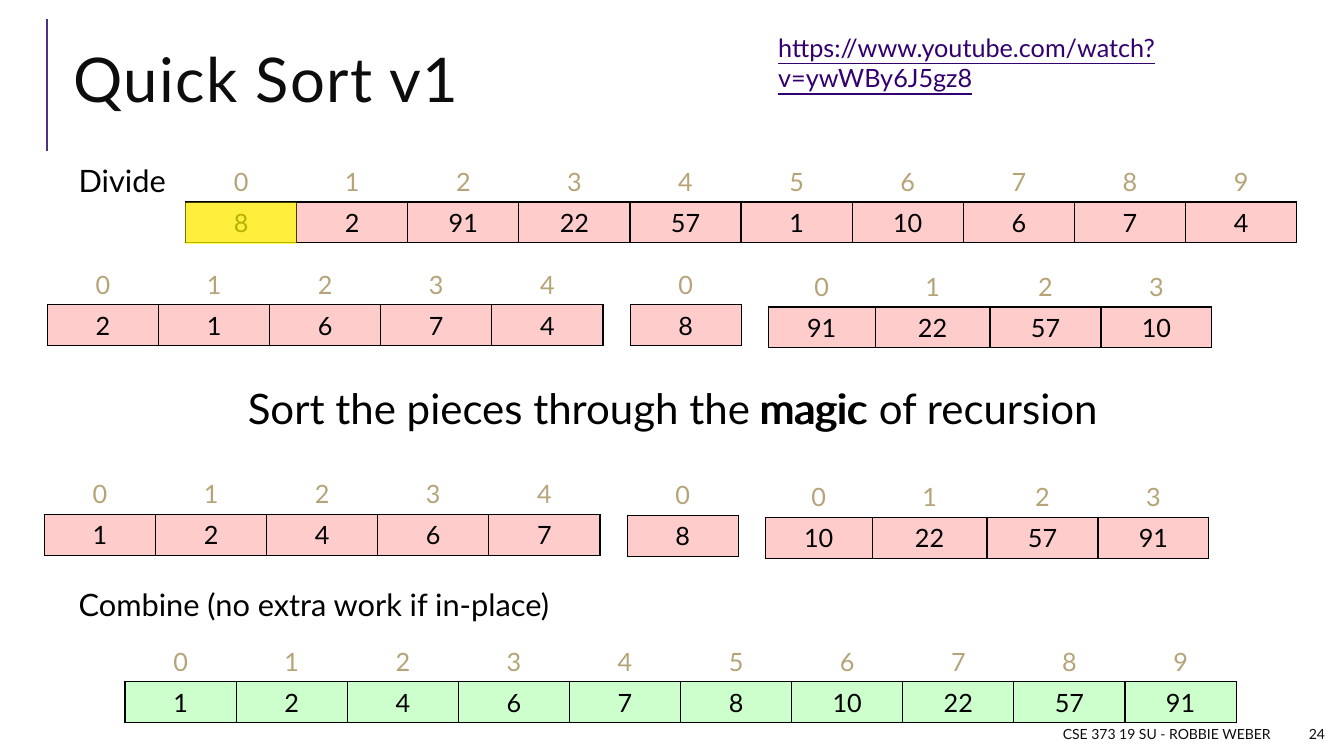
from lxml.etree import SubElement
from pptx import Presentation
from pptx.dml.color import RGBColor
from pptx.enum.shapes import MSO_CONNECTOR, MSO_SHAPE
from pptx.enum.text import MSO_ANCHOR, PP_ALIGN
from pptx.oxml.ns import qn
from pptx.util import Inches, Pt

FONT = "Lato"
BLACK, INK, WHITE = "000000", "0D0D0D", "FFFFFF"
PURPLE, LINK, GOLD = "4C3282", "33006F", "B6A479"
PINK, GREEN, YELLOW = "FFCCCC", "CCFFCC", "FFFF00"
CELL_WIDTH = 1.102
ARRAY_HEIGHT = 0.81
UNEVEN_WIDTHS = [1.06, 1.14, 1.1, 1.1]


def rgb(value):
    return RGBColor.from_string(value)


def style_paragraph(para, size, color, align=PP_ALIGN.LEFT):
    para.alignment = align
    for span in para.runs:
        span.font.name = FONT
        span.font.size = Pt(size)
        span.font.color.rgb = rgb(color)


def add_text(page, left, top, width, height, text, size, color=BLACK,
             align=PP_ALIGN.LEFT, anchor=MSO_ANCHOR.TOP):
    box = page.shapes.add_textbox(Inches(left), Inches(top), Inches(width), Inches(height))
    frame = box.text_frame
    frame.word_wrap = True
    frame.vertical_anchor = anchor
    frame.text = text
    for para in frame.paragraphs:
        style_paragraph(para, size, color, align)
    return frame


def set_borders(cell, colors):
    """Draw one-point borders, given as left, right, top, bottom colours."""
    properties = cell._tc.get_or_add_tcPr()
    for position, (side, color) in enumerate(zip(("lnL", "lnR", "lnT", "lnB"), colors)):
        line = SubElement(properties, qn("a:" + side), w=str(Pt(1)))
        fill = SubElement(line, qn("a:solidFill"))
        SubElement(fill, qn("a:srgbClr"), val=color)
        properties.insert(position, line)


def style_cell(cell, text, color):
    cell.text_frame.text = str(text)
    cell.vertical_anchor = MSO_ANCHOR.MIDDLE
    style_paragraph(cell.text_frame.paragraphs[0], 18, color, PP_ALIGN.CENTER)


def add_array(page, left, top, values, fill=PINK, widths=None):
    """Draw an array as a row of indices above a row of filled value cells."""
    frame = page.shapes.add_table(2, len(values), Inches(left), Inches(top),
                                  Inches(CELL_WIDTH * len(values)), Inches(ARRAY_HEIGHT))
    table = frame.table
    table.first_row = table.horz_banding = False
    for column, width in zip(table.columns, widths or []):
        column.width = Inches(width)
    for index, value in enumerate(values):
        label, slot = table.cell(0, index), table.cell(1, index)
        style_cell(label, index, GOLD)
        label.fill.background()
        set_borders(label, (WHITE, WHITE, WHITE, BLACK))
        style_cell(slot, value, BLACK)
        slot.fill.solid()
        slot.fill.fore_color.rgb = rgb(fill)
        set_borders(slot, (BLACK,) * 4)


def add_title_rule(page):
    rule = page.shapes.add_connector(MSO_CONNECTOR.STRAIGHT, Inches(0.47), Inches(1.5),
                                     Inches(0.47), Inches(0.19))
    rule.line.color.rgb = rgb(PURPLE)
    rule.line.width = Pt(1.5)
    SubElement(rule._element.spPr, qn("a:effectLst"))


def add_title(page):
    title = add_text(page, 0.63, 0.29, 12.23, 1.11, "Quick Sort v1", 44, INK,
                     anchor=MSO_ANCHOR.MIDDLE)
    para = title.paragraphs[0]
    para.line_spacing = 0.8
    para.runs[0].font._element.set("spc", "100")


def add_steps(page):
    steps = add_text(page, 0.63, 1.6, 12.23, 5.3,
                     "Divide\nCombine (no extra work if in-place)", 22)
    steps.margin_left = steps.margin_right = Inches(0.05)
    for para in steps.paragraphs:
        para._p.get_or_add_pPr().set("marL", str(Inches(0.1)))
        para.line_spacing = 0.9
        para.space_after = Pt(2)
    steps.paragraphs[1].space_before = Pt(277)


def add_pivot_highlight(page):
    pivot = page.shapes.add_shape(MSO_SHAPE.RECTANGLE, Inches(1.84), Inches(2.01),
                                  Inches(1.1), Inches(0.41))
    pivot.shadow.inherit = False
    pivot.line.fill.background()
    pivot.fill.solid()
    pivot.fill.fore_color.rgb = rgb(YELLOW)
    color = pivot._element.spPr.find(qn("a:solidFill")).find(qn("a:srgbClr"))
    SubElement(color, qn("a:alpha"), val="70000")


def main():
    deck = Presentation()
    deck.slide_width, deck.slide_height = Inches(13.33), Inches(7.5)
    page = deck.slides.add_slide(deck.slide_layouts[6])

    # Heading, step labels and footer
    add_title_rule(page)
    add_title(page)
    add_steps(page)
    for left, width, text in ((6.25, 6.45, "CSE 373 19 SU - ROBBIE WEBER"), (12.78, 0.46, "24")):
        add_text(page, left, 7.13, width, 0.3, text, 10, INK, PP_ALIGN.RIGHT, MSO_ANCHOR.MIDDLE)

    # Divide: the input and its pieces around the pivot
    add_array(page, 1.84, 1.6, [8, 2, 91, 22, 57, 1, 10, 6, 7, 4])
    add_array(page, 0.47, 2.62, [2, 1, 6, 7, 4])
    add_array(page, 7.62, 2.64, [91, 22, 57, 10], widths=UNEVEN_WIDTHS)
    add_array(page, 6.25, 2.62, [8])

    # Combine: the sorted whole
    add_array(page, 1.24, 6.36, [1, 2, 4, 6, 7, 8, 10, 22, 57, 91], GREEN)

    # Pivot mark and video address
    add_pivot_highlight(page)
    address = add_text(page, 7.62, 0.27, 5.7, 0.7,
                       "https://www.youtube.com/watch?v=ywWBy6J5gz8", 18, LINK)
    address.paragraphs[0].runs[0].font.underline = True

    # Sorted pieces
    add_array(page, 0.44, 4.7, [1, 2, 4, 6, 7])
    add_array(page, 7.59, 4.73, [10, 22, 57, 91], widths=UNEVEN_WIDTHS)
    add_array(page, 6.22, 4.71, [8])

    # Recursion message with its emphasised word
    add_text(page, 0.6, 3.75, 12.15, 0.61, "Sort the pieces through the magic of recursion",
             30, align=PP_ALIGN.CENTER)
    add_text(page, 7.43, 3.75, 1.39, 0.61, "magic", 30)

    deck.save("out.pptx")


if __name__ == "__main__":
    main()
